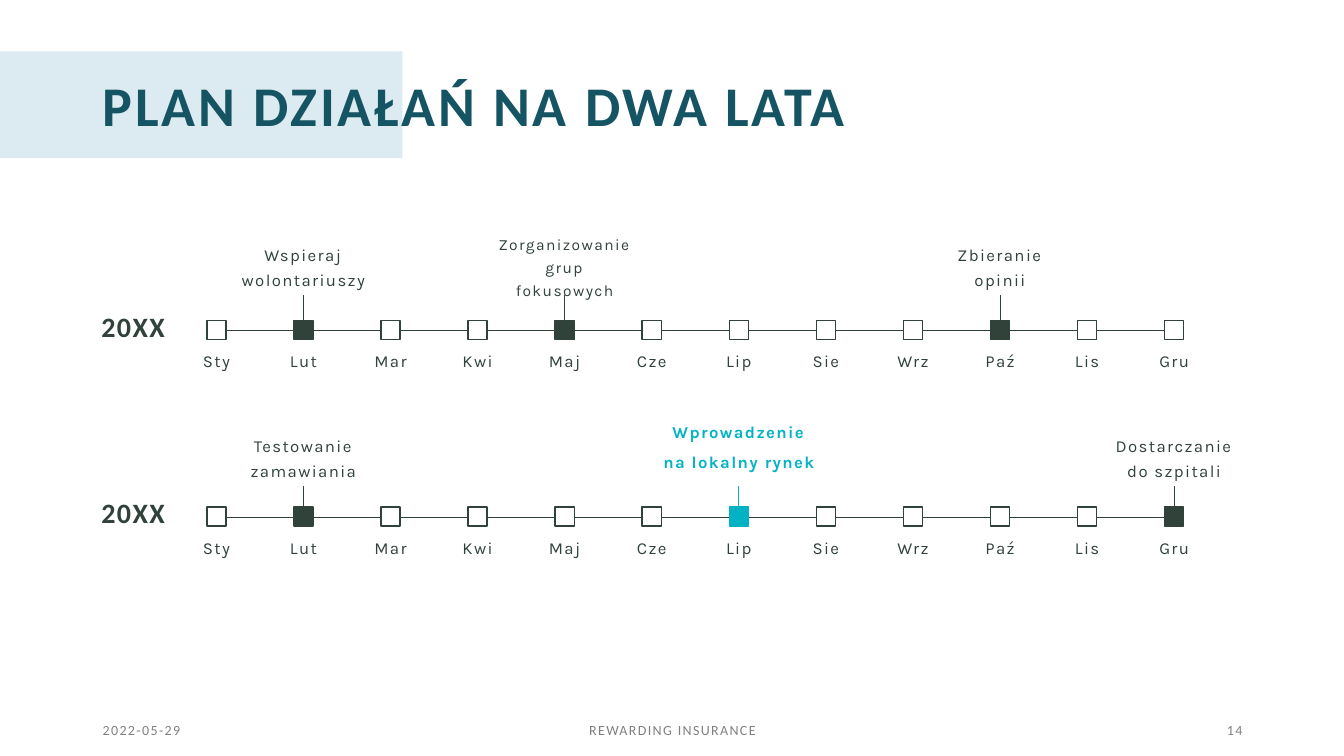
from lxml import etree
from pptx import Presentation
from pptx.dml.color import RGBColor
from pptx.enum.shapes import MSO_CONNECTOR, MSO_SHAPE
from pptx.enum.text import MSO_ANCHOR, PP_ALIGN
from pptx.oxml.ns import qn
from pptx.util import Inches, Pt

LINE, RECT = MSO_CONNECTOR.STRAIGHT, MSO_SHAPE.RECTANGLE
TOP, MIDDLE = MSO_ANCHOR.TOP, MSO_ANCHOR.MIDDLE
LEFT, CENTER, RIGHT = PP_ALIGN.LEFT, PP_ALIGN.CENTER, PP_ALIGN.RIGHT

COLORS = {"title": "155463", "band": "DCEAF1", "dark": "30423A",
          "accent": "04B3C3", "footer": "808080"}

TITLE = "PLAN DZIAŁAŃ NA DWA LATA"
MONTHS = ["Sty", "Lut", "Mar", "Kwi", "Maj", "Cze",
          "Lip", "Sie", "Wrz", "Paź", "Lis", "Gru"]
PLAIN = dict(width=1.57, height=0.6, size=12, color="dark", spacing=1.25)
SMALL = dict(PLAIN, size=11.1)
LAUNCH = dict(width=1.75, height=0.88, size=11.9, color="accent",
              spacing=1.5, bold=True)
# Each year: label, axis height, top of the stems, events by month
YEARS = [
    ("20XX", 3.28, 2.93, {"Lut": ("Wspieraj wolontariuszy", PLAIN),
                          "Maj": ("Zorganizowanie grup fokusowych", SMALL),
                          "Paź": ("Zbieranie opinii", PLAIN)}),
    ("20XX", 5.13, 4.82, {"Lut": ("Testowanie zamawiania", PLAIN),
                          "Lip": ("Wprowadzenie na lokalny rynek", LAUNCH),
                          "Gru": ("Dostarczanie do szpitali", PLAIN)}),
]
FOOTER = [("2022-05-29", 0.92, 3, LEFT),
          ("REWARDING INSURANCE", 4.42, 4.5, CENTER),
          ("14", 9.42, 3, RIGHT)]

FIRST_X, STEP = 2.146, 9.5 / 11   # centre of January, distance between months
BOX = 0.19

prs = Presentation()
prs.slide_width, prs.slide_height = Inches(13.33), Inches(7.5)
s = prs.slides.add_slide(prs.slide_layouts[6])


def rgb(name):
    return RGBColor.from_string(COLORS[name])


def add_text(text, x, y, width, height, size=12, color="dark", font="Karla",
             bold=False, align=CENTER, anchor=MIDDLE, spacing=1.0, before=0,
             tracking=1, inset=0.1):
    tb = s.shapes.add_textbox(Inches(x), Inches(y), Inches(width), Inches(height))
    tf = tb.text_frame
    tf.word_wrap = True
    tf.vertical_anchor = anchor
    tf.margin_left = tf.margin_right = Inches(inset)
    p = tf.paragraphs[0]
    p.alignment, p.line_spacing, p.space_before = align, spacing, Pt(before)
    r = p.add_run()
    r.text = text
    r.font.name, r.font.size, r.font.bold = font, Pt(size), bold
    r.font.color.rgb = rgb(color)
    r.font._element.set("spc", str(tracking * 100))


def add_rect(x, y, width, height, fill=None, line=None):
    sp = s.shapes.add_shape(RECT, Inches(x), Inches(y), Inches(width), Inches(height))
    sp.shadow.inherit = False
    if fill:
        sp.fill.solid()
        sp.fill.fore_color.rgb = rgb(fill)
    else:
        sp.fill.background()
    if line:
        sp.line.color.rgb = rgb(line)
        sp.line.width = Pt(1)
    else:
        sp.line.fill.background()


def add_line(x1, y1, x2, y2, color="dark"):
    c = s.shapes.add_connector(LINE, Inches(x1), Inches(y1), Inches(x2), Inches(y2))
    c.line.color.rgb = rgb(color)
    c.line.width = Pt(0.5)
    etree.SubElement(c._element.spPr, qn("a:effectLst"))


def add_year(label, axis, stem_top, events):
    add_text(label, 0.76, axis - 0.3, 1.12, 0.55, size=20, font="Calibri",
             bold=True, spacing=0.9, before=10)
    for i, month in enumerate(MONTHS):
        x = FIRST_X + i * STEP
        fill, line = None, "dark"
        if month in events:
            text, style = events[month]
            fill = line = style["color"]
            add_text(text, x - style["width"] / 2, stem_top - style["height"], **style)
            add_line(x, stem_top, x, axis, fill)
        if i < len(MONTHS) - 1:
            add_line(x + BOX / 2, axis, x + STEP - BOX / 2, axis)
        add_rect(x - BOX / 2, axis - 0.1, BOX, BOX, fill, line)
        add_text(month, x - 0.27, axis + 0.19, 0.54, 0.71, anchor=TOP,
                 spacing=0.8, inset=0)


add_rect(0, 0.51, 3.99, 1.06, fill="band")
add_text(TITLE, 0.92, 0.73, 11.5, 0.72, size=40, color="title", font="Calibri",
         bold=True, align=LEFT, spacing=0.8, tracking=2)
for year in YEARS:
    add_year(*year)
for text, x, width, align in FOOTER:
    add_text(text, x, 7.13, width, 0.22, size=10, color="footer",
             font="Calibri", align=align)

prs.save("out.pptx")
